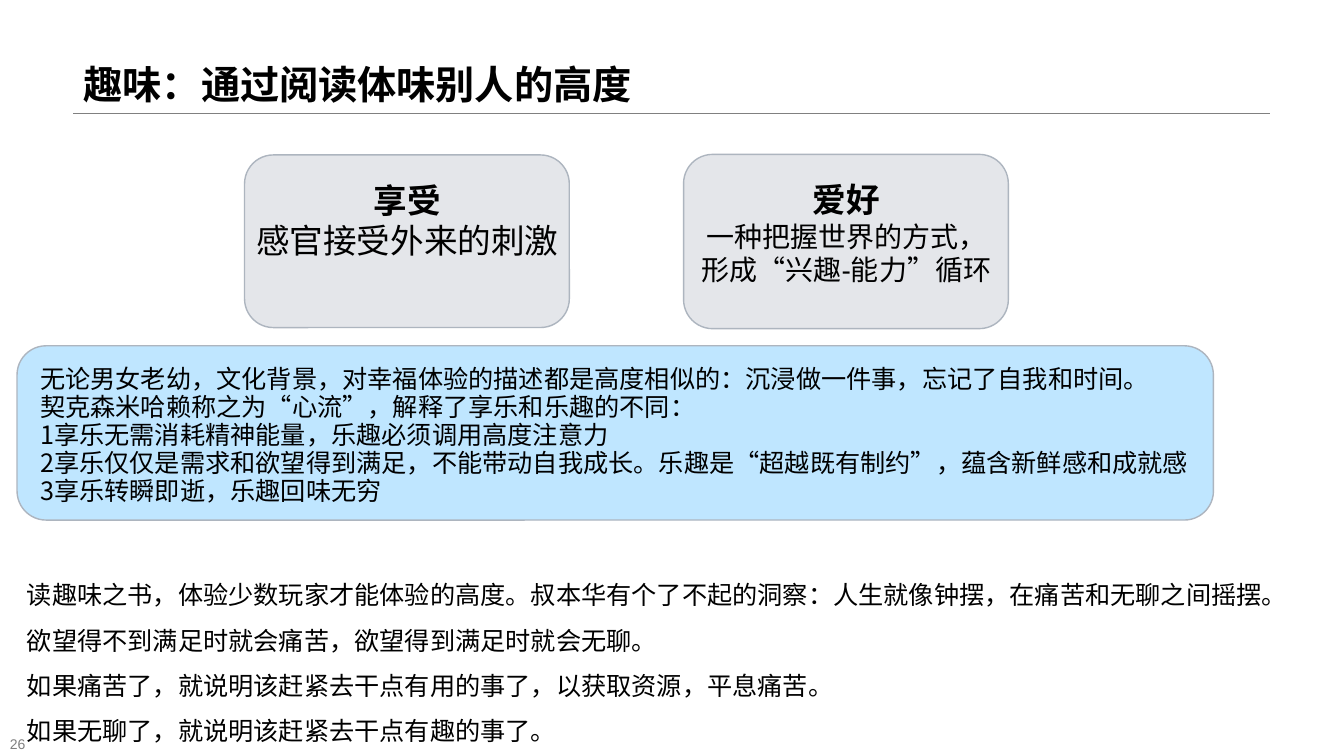
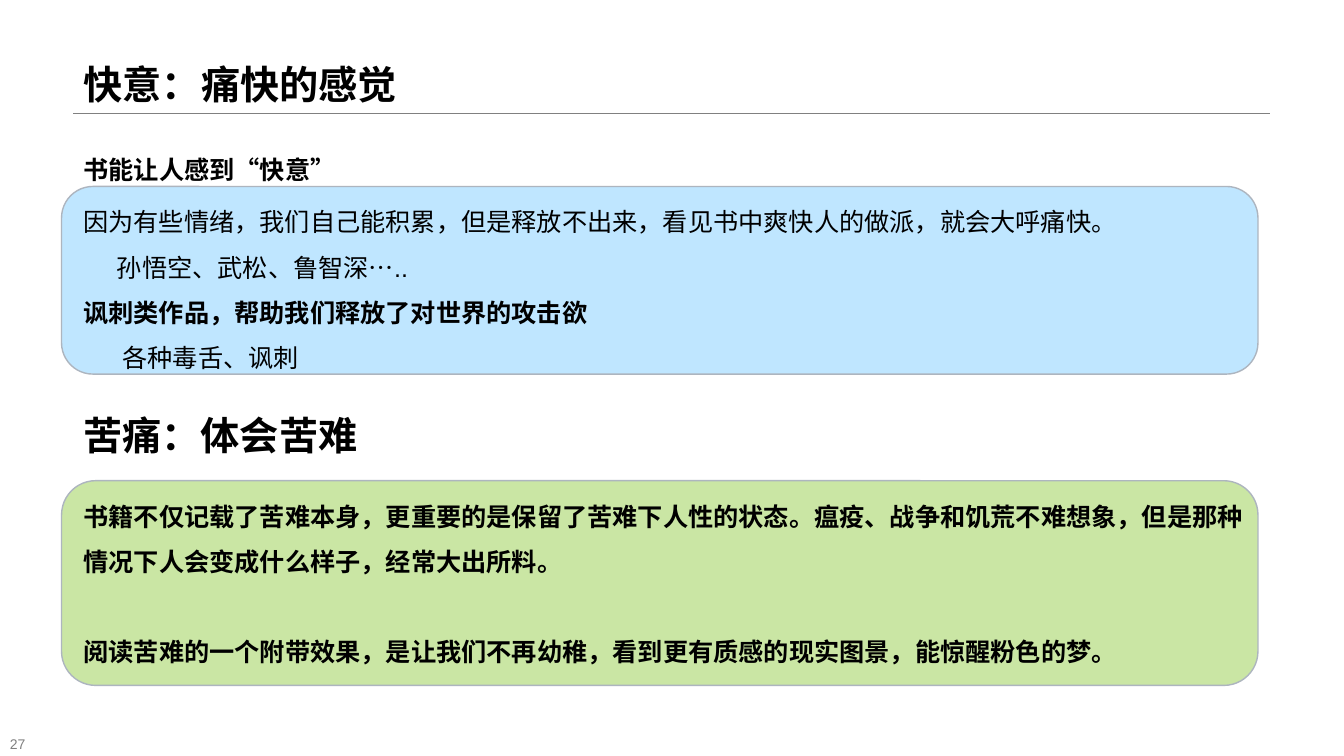
import pptx
import pptx.util
import pptx.dml.color
import pptx.enum.lang
import pptx.enum.shapes
import pptx.enum.text
import pptx.oxml
import pptx.oxml.ns

Pt = pptx.util.Pt
ANCHOR = pptx.enum.text.MSO_ANCHOR
ALIGN = pptx.enum.text.PP_ALIGN

COLORS = {
    "text": "000000",
    "muted": "808080",
    "edge": "ADB5BF",
    "grey": "E4E6EA",
    "blue": "BFE6FF",
    "green": "CAE6A4",
}
LATIN, CHINESE = "Arial", "Noto Sans CJK SC"
LEFT, WIDTH, TITLE_BOTTOM = 52.5, 854.6, 80.6
PANEL_LEFT = 44


def rgb(name):
    return pptx.dml.color.RGBColor.from_string(COLORS[name])


def style_run(r, size, bold=False, color="text", font=LATIN):
    r.font.size, r.font.bold, r.font.name = Pt(size), bold, font
    r.font.color.rgb = rgb(color)
    r.font.language_id = pptx.enum.lang.MSO_LANGUAGE_ID.SIMPLIFIED_CHINESE
    ea = pptx.oxml.parse_xml(
        f'<a:ea {pptx.oxml.ns.nsdecls("a")} typeface="{CHINESE}"/>')
    r.font._element.find(pptx.oxml.ns.qn("a:latin")).addnext(ea)


def add_text(s, box, lines, size=18, spacing=None, align=ALIGN.LEFT,
             anchor=ANCHOR.TOP, color="text", font=LATIN):
    """Lines are (text, options); options: size, bold, indent, before."""
    tf = s.shapes.add_textbox(*map(Pt, box)).text_frame
    tf.word_wrap = True
    tf.vertical_anchor = anchor
    for i, (text, options) in enumerate(lines):
        p = tf.paragraphs[0] if i == 0 else tf.add_paragraph()
        p.text = text
        p.alignment = align
        p.line_spacing = spacing
        if "indent" in options:
            p._p.get_or_add_pPr().set("marL", str(Pt(options["indent"])))
        if "before" in options:
            p.space_before = Pt(options["before"])
        style_run(p.runs[0], options.get("size", size),
                  options.get("bold", False), color, font)


def add_panel(s, box, fill):
    sp = s.shapes.add_shape(
        pptx.enum.shapes.MSO_SHAPE.ROUNDED_RECTANGLE, *map(Pt, box))
    sp.shadow.inherit = False
    sp.fill.solid()
    sp.fill.fore_color.rgb = rgb(fill)
    sp.line.color.rgb = rgb("edge")
    sp.line.width = Pt(1)


def add_frame(prs, title, number):
    """New slide with title, rule and page number."""
    s = prs.slides.add_slide(prs.slide_layouts[5])
    sp = s.shapes.title
    sp.left, sp.top = Pt(LEFT), Pt(0)
    sp.width, sp.height = Pt(WIDTH), Pt(TITLE_BOTTOM)
    tf = sp.text_frame
    tf.text = title
    tf.vertical_anchor = ANCHOR.BOTTOM
    tf.auto_size = pptx.enum.text.MSO_AUTO_SIZE.NONE
    p = tf.paragraphs[0]
    p.alignment = ALIGN.LEFT
    p.line_spacing = 0.9
    style_run(p.runs[0], 28, True)

    rule = s.shapes.add_connector(
        pptx.enum.shapes.MSO_CONNECTOR.STRAIGHT, Pt(LEFT), Pt(TITLE_BOTTOM),
        Pt(LEFT + WIDTH), Pt(TITLE_BOTTOM))
    rule.line.color.rgb = rgb("muted")
    rule.line.width = Pt(0.25)
    rule._element.spPr.append(pptx.oxml.parse_xml(
        f'<a:effectLst {pptx.oxml.ns.nsdecls("a")}/>'))
    add_text(s, (0, 523.4, 229, 16.6), [(str(number), {})], 10,
             anchor=ANCHOR.MIDDLE, color="muted")
    return s


def add_card(s, box, heading, text, size):
    """Grey card with a centred heading and description."""
    x, y, w, h = box
    add_panel(s, box, "grey")
    add_text(s, (x, y + 14, w + 0.5, h - 30),
             [(heading, {"bold": True}), (text, {"size": size})], 24,
             align=ALIGN.CENTER)


def add_interest_slide(prs):
    s = add_frame(prs, "趣味：通过阅读体味别人的高度", 26)

    # Two kinds of pleasure
    add_card(s, (174.7, 110.7, 232, 123.3), "享受", "感官接受外来的刺激", 24)
    add_card(s, (488.3, 110.3, 232, 124.5), "爱好",
             "一种把握世界的方式，形成“兴趣-能力”循环", 20)

    # Flow
    x, y = 12.2, 247
    add_panel(s, (x, y, WIDTH, 124.5), "blue")
    flow = [
        "无论男女老幼，文化背景，对幸福体验的描述都是高度相似的：沉浸做一件事，忘记了自我和时间。",
        "契克森米哈赖称之为“心流”，解释了享乐和乐趣的不同：",
        "1享乐无需消耗精神能量，乐趣必须调用高度注意力",
        "2享乐仅仅是需求和欲望得到满足，不能带动自我成长。乐趣是“超越既有制约”，蕴含新鲜感和成就感",
        "3享乐转瞬即逝，乐趣回味无穷",
    ]
    add_text(s, (x + 9.4, y + 10.8, 880, 108), [(t, {}) for t in flow],
             spacing=Pt(20), font=CHINESE)

    # Pendulum
    pendulum = [
        "读趣味之书，体验少数玩家才能体验的高度。叔本华有个了不起的洞察：人生就像钟摆，在痛苦和无聊之间摇摆。",
        "欲望得不到满足时就会痛苦，欲望得到满足时就会无聊。",
        "如果痛苦了，就说明该赶紧去干点有用的事了，以获取资源，平息痛苦。",
        "如果无聊了，就说明该赶紧去干点有趣的事了。",
    ]
    add_text(s, (x, 399.6, 935, 134), [(t, {}) for t in pendulum],
             spacing=1.5)


def add_relief_slide(prs):
    s = add_frame(prs, "快意：痛快的感觉", 27)

    # Relief
    add_text(s, (LEFT, 95.8, 220, 36),
             [("书能让人感到“快意”", {"bold": True})], spacing=1.5)
    y = 133.2
    add_panel(s, (PANEL_LEFT, y, WIDTH, 134), "blue")
    add_text(s, (LEFT, y, WIDTH - 10, 134), [
        ("因为有些情绪，我们自己能积累，但是释放不出来，看见书中爽快人的做派，就会大呼痛快。", {}),
        ("孙悟空、武松、鲁智深…..", {"indent": 24}),
        ("讽刺类作品，帮助我们释放了对世界的攻击欲", {"bold": True}),
        ("各种毒舌、讽刺", {"indent": 28}),
    ], spacing=1.5)

    # Suffering
    add_text(s, (LEFT, 290.2, 480, 41),
             [("苦痛：体会苦难", {"bold": True})], 28)
    y = 343.4
    add_panel(s, (PANEL_LEFT, y, WIDTH, 146.2), "green")
    add_text(s, (LEFT, y, 846, 134), [
        ("书籍不仅记载了苦难本身，更重要的是保留了苦难下人性的状态。瘟疫、战争和饥荒不难想象，"
         "但是那种情况下人会变成什么样子，经常大出所料。", {"bold": True}),
        ("阅读苦难的一个附带效果，是让我们不再幼稚，看到更有质感的现实图景，能惊醒粉色的梦。",
         {"bold": True, "before": 32}),
    ], spacing=1.5)


def main():
    prs = pptx.Presentation()
    prs.slide_width, prs.slide_height = Pt(960), Pt(540)
    add_interest_slide(prs)
    add_relief_slide(prs)
    prs.save("out.pptx")


if __name__ == "__main__":
    main()
